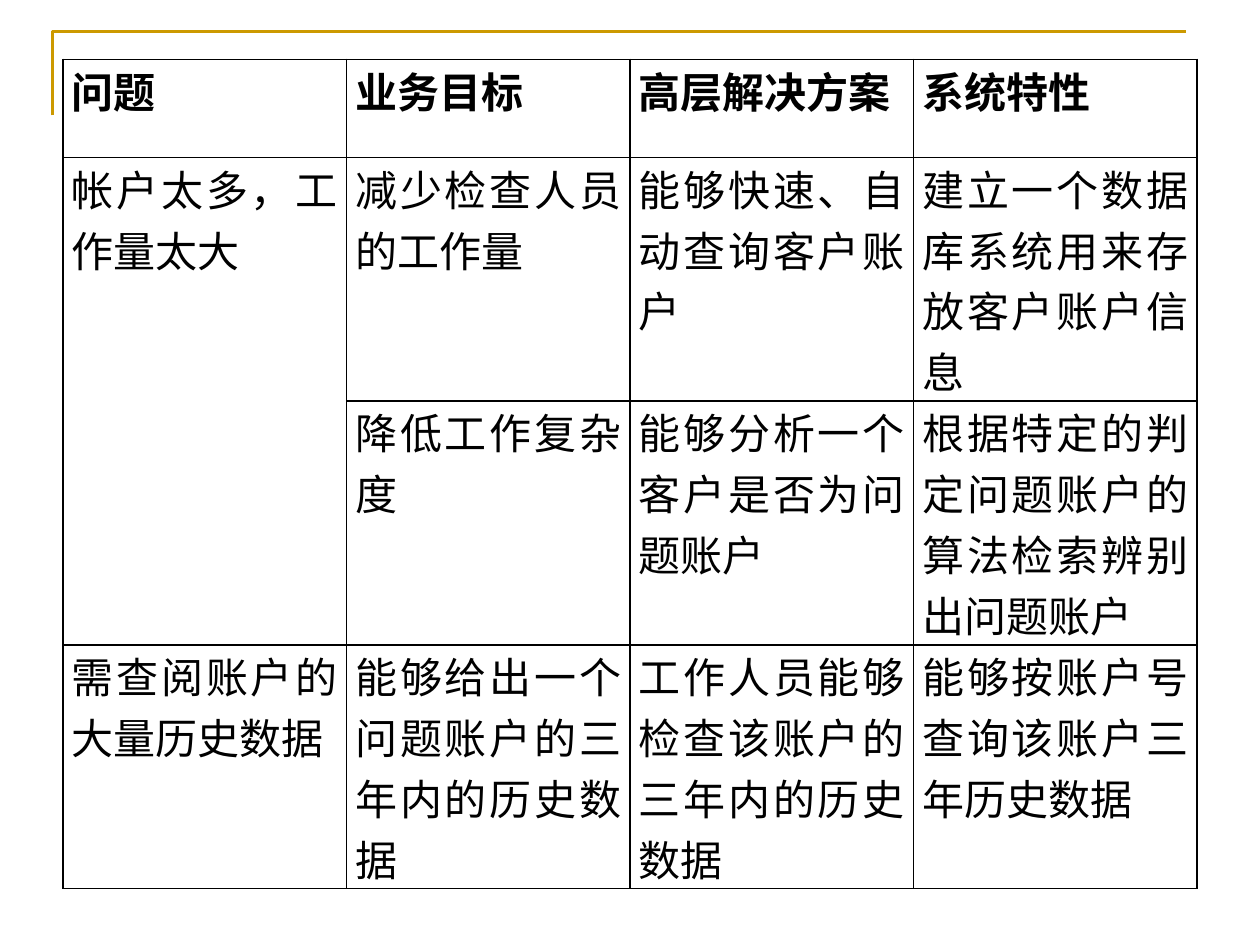
from lxml.etree import SubElement
from pptx import Presentation
from pptx.dml.color import RGBColor
from pptx.enum.text import PP_ALIGN as Align
from pptx.oxml.ns import qn
from pptx.util import Pt

GOLD = RGBColor(0xCC, 0x99, 0x00)
BLACK = RGBColor(0, 0, 0)
WHITE = RGBColor(0xFF, 0xFF, 0xFF)
FONT = "Times New Roman"

ROWS = [
    ["问题", "业务目标", "高层解决方案", "系统特性"],
    ["帐户太多，工作量太大", "减少检查人员的工作量",
     "能够快速、自动查询客户账户", "建立一个数据库系统用来存放客户账户信息"],
    [None, "降低工作复杂度",
     "能够分析一个客户是否为问题账户", "根据特定的判定问题账户的算法检索辨别出问题账户"],
    ["需查阅账户的大量历史数据", "能够给出一个问题账户的三年内的历史数据",
     "工作人员能够检查该账户的三年内的历史数据", "能够按账户号查询该账户三年历史数据"],
]


def write(tf, text, size=24, bold=False, color=BLACK, align=Align.JUSTIFY):
    p = tf.paragraphs[0]
    p.alignment = align
    r = p.add_run()
    r.text = text
    r.font.name = FONT
    r.font.size = Pt(size)
    r.font.bold = bold
    r.font.color.rgb = color


def set_borders(cell, width=1, color=BLACK):
    props = cell._tc.get_or_add_tcPr()
    for i, side in enumerate(("a:lnL", "a:lnR", "a:lnT", "a:lnB")):
        ln = SubElement(props, qn(side), w=str(Pt(width)))
        SubElement(SubElement(ln, qn("a:solidFill")), qn("a:srgbClr"), val=str(color))
        props.insert(i, ln)  # borders come before the fill


def add_corner_rule(s, x, y, w, h):
    builder = s.shapes.build_freeform(Pt(x), Pt(y + h))
    builder.add_line_segments([(Pt(x), Pt(y)), (Pt(x + w), Pt(y))], close=False)
    sp = builder.convert_to_shape()
    sp.shadow.inherit = False
    sp.fill.background()
    sp.line.color.rgb = GOLD
    sp.line.width = Pt(1.5)


def add_feature_table(s, x, y, w, head_h, row_h):
    n_rows, n_cols = len(ROWS), len(ROWS[0])
    h = head_h + row_h * (n_rows - 1)
    table = s.shapes.add_table(n_rows, n_cols, Pt(x), Pt(y), Pt(w), Pt(h)).table
    table.first_row = table.horz_banding = False
    for col in table.columns:
        col.width = Pt(w / n_cols)
    for i, texts in enumerate(ROWS):
        table.rows[i].height = Pt(row_h if i else head_h)
        for j, text in enumerate(texts):
            cell = table.cell(i, j)
            cell.margin_left = cell.margin_right = Pt(5)
            cell.margin_top = cell.margin_bottom = 0
            cell.fill.solid()
            cell.fill.fore_color.rgb = WHITE
            set_borders(cell)
            if text:
                write(cell.text_frame, text, bold=i == 0)
    # The first problem covers two goals
    table.cell(1, 0).merge(table.cell(2, 0))


prs = Presentation()
prs.slide_width, prs.slide_height = Pt(720), Pt(540)
s = prs.slides.add_slide(prs.slide_layouts[6])

# Corner rule behind the table
add_corner_rule(s, 30, 18, 648, 48)
# Problems, goals, solutions and features
add_feature_table(s, 36, 34, 648, head_h=56, row_h=109.5)

prs.save("out.pptx")
